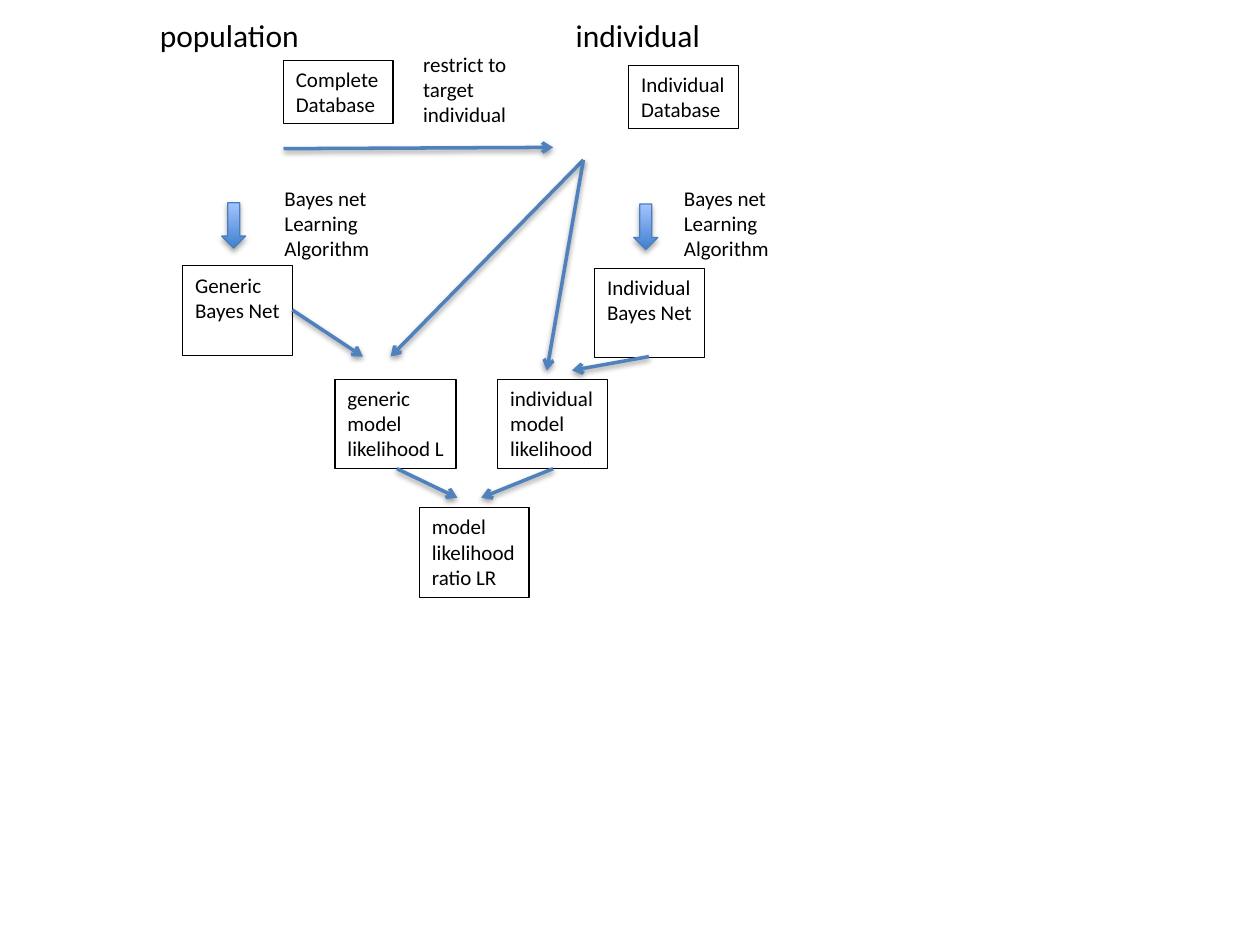
import pptx
import pptx.util
import pptx.dml.color
import pptx.enum.shapes
import pptx.enum.text
import pptx.oxml
import lxml.etree

Inches = pptx.util.Inches
Pt = pptx.util.Pt
SHAPES = pptx.enum.shapes.MSO_SHAPE
DRAWING = "http://schemas.openxmlformats.org/drawingml/2006/main"


def color(value):
    """Return the RGB colour for a hex string."""
    return pptx.dml.color.RGBColor.from_string(value)


def add_shadow(shape, distance, opacity):
    """Give a shape a soft black shadow that falls straight down."""
    properties = shape._element.spPr
    for old in properties.findall(f"{{{DRAWING}}}effectLst"):
        properties.remove(old)
    properties.append(pptx.oxml.parse_xml(
        f'<a:effectLst xmlns:a="{DRAWING}"><a:outerShdw blurRad="{Pt(3.1)}" '
        f'dist="{Pt(distance)}" dir="5400000" rotWithShape="0">'
        f'<a:srgbClr val="000000"><a:alpha val="{opacity * 1000}"/></a:srgbClr>'
        '</a:outerShdw></a:effectLst>'))


deck = pptx.Presentation()
deck.slide_width, deck.slide_height = Inches(10), Inches(7.5)
page = deck.slides.add_slide(deck.slide_layouts[6])

# Left, top, width, height, text, size, framed
labels = [
    (1.17, 0.08, 1.41, 0.4, "population", 18, False),
    (4.47, 0.08, 1.24, 0.4, "individual", 18, False),
    (3.26, 0.36, 1.42, 0.71, "restrict to \vtarget \nindividual", 12, False),
    (2.16, 1.42, 0.94, 0.71, "Bayes net Learning Algorithm", 12, False),
    (5.33, 1.42, 0.99, 0.71, "Bayes net Learning Algorithm", 12, False),
    (2.25, 0.48, 0.87, 0.5, "Complete Database", 12, True),
    (4.99, 0.52, 0.87, 0.5, "Individual Database", 12, True),
    (1.45, 2.11, 0.87, 0.71, "Generic Bayes Net", 12, True),
    (4.72, 2.13, 0.87, 0.71, "Individual Bayes Net", 12, True),
    (2.66, 3.01, 0.96, 0.71, "generic model likelihood L", 12, True),
    (3.95, 3.01, 0.87, 0.71, "individual model likelihood", 12, True),
    (3.33, 4.03, 0.87, 0.71, "model likelihood\nratio LR", 12, True),
]
for left, top, width, height, text, size, framed in labels:
    box = page.shapes.add_textbox(*map(Inches, (left, top, width, height)))
    if framed:
        box.line.color.rgb = color("000000")
        box.line.width = Pt(0.75)
    frame = box.text_frame
    frame.text = text
    frame_format = {"word_wrap": True, "margin_right": Inches(0.05),
                    "auto_size": pptx.enum.text.MSO_AUTO_SIZE.SHAPE_TO_FIT_TEXT}
    for name, value in frame_format.items():
        setattr(frame, name, value)
    for para in frame.paragraphs:
        for span in para.runs:
            for name, value in {"name": "Calibri", "size": Pt(size)}.items():
                setattr(span.font, name, value)
            span.font.color.rgb = color("000000")

for left, top in [(1.76, 1.61), (5.03, 1.62)]:
    learning_arrow = page.shapes.add_shape(
        SHAPES.DOWN_ARROW, *map(Inches, (left, top, 0.19, 0.36)))
    fill = learning_arrow.fill
    fill.gradient()
    fill.gradient_angle = 90
    for stop, value in zip(fill.gradient_stops, ["3F80CE", "A4C4FF"]):
        stop.color.rgb = color(value)
    learning_arrow.line.color.rgb = color("4B7EBC")
    learning_arrow.line.width = Pt(0.75)
    add_shadow(learning_arrow, 1.8, 35)

# Start x, start y, end x, end y
flows = [
    (4.63, 1.27, 3.1, 2.83),
    (4.63, 1.27, 4.34, 2.94),
    (2.32, 2.46, 2.88, 2.83),
    (5.15, 2.83, 4.54, 2.94),
    (3.15, 3.72, 3.63, 3.95),
    (4.39, 3.72, 3.82, 3.95),
    (2.25, 1.18, 4.39, 1.17),
]
for ends in flows:
    flow = page.shapes.add_connector(
        pptx.enum.shapes.MSO_CONNECTOR.STRAIGHT, *map(Inches, ends))
    flow.line.color.rgb = color("4F81BD")
    flow.line.width = Pt(2)
    lxml.etree.SubElement(flow.line._get_or_add_ln(),
                          f"{{{DRAWING}}}tailEnd", type="arrow")
    add_shadow(flow, 1.6, 38)

deck.save("out.pptx")
